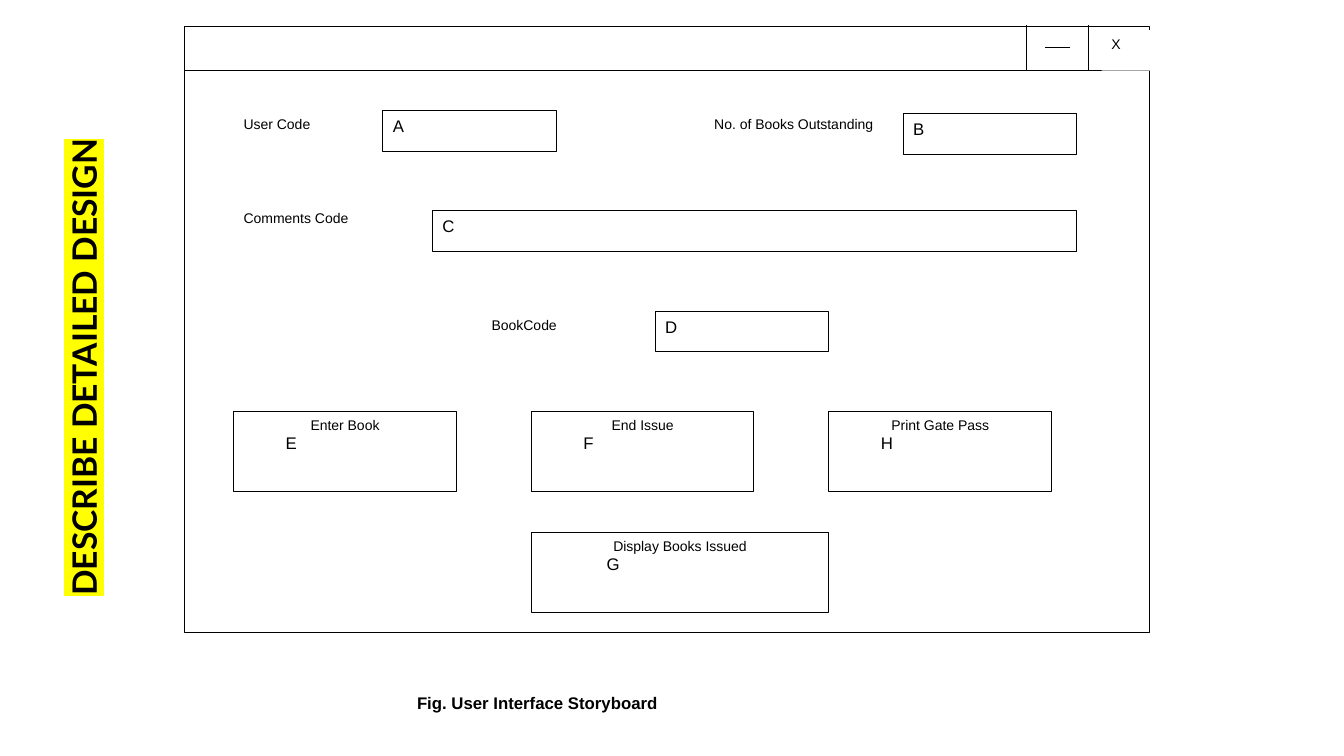
"""Build the user interface storyboard slide."""
from lxml.etree import SubElement
from pptx import Presentation
from pptx.dml.color import RGBColor
from pptx.enum.shapes import MSO_CONNECTOR, MSO_SHAPE
from pptx.enum.text import MSO_ANCHOR, PP_ALIGN
from pptx.oxml.ns import qn
from pptx.util import Cm, Pt

COLOURS = {"ink": "000000", "paper": "FFFFFF", "marker": "FFFF00"}
TITLE = "DESCRIBE DETAILED DESIGN"
CAPTION = ("Fig. User Interface Storyboard", 10.26, 17.32, 13.11, 1.52)
WINDOW = (4.65, 0.66, 24.33, 15.27)
CLOSE = ("X", 27.76, 0.76, 1.25, 1.02)
LINES = [
    (4.65, 1.78, 28.99, 1.78),
    (27.43, 0.64, 27.43, 1.78),
    (25.88, 0.64, 25.88, 1.78),
]
MINIMISE = (26.34, 1.19, 26.97, 1.19)
ROW = 1.02
LABELS = [
    ("User Code", 5.89, 2.79, 4.37, ROW),
    ("No. of Books Outstanding", 17.75, 2.79, 5.61, 2.03),
    ("Comments Code", 5.89, 5.16, 4.37, ROW),
    ("BookCode", 12.14, 7.85, 4.37, ROW),
]
FIELDS = [
    ("A", 9.65, 2.79, 4.37, ROW),
    ("B", 22.76, 2.87, 4.37, ROW),
    ("C", 10.9, 5.31, 16.23, ROW),
    ("D", 16.51, 7.85, 4.37, ROW),
]
BUTTONS = [("Enter Book", "E"), ("End Issue", "F"), ("Print Gate Pass", "H")]
BUTTON_LEFT, BUTTON_TOP, BUTTON_STEP = 5.89, 10.36, 7.5
BUTTON_WIDTH, BUTTON_HEIGHT = 5.61, 2.03
DISPLAY = (("Display Books Issued", "G"), 13.39, 13.41, 7.49, BUTTON_HEIGHT)
SMALL = {"name": "Arial", "size": Pt(10)}
LARGE = {"name": "Arial", "size": Pt(12)}
BOLD = {**LARGE, "bold": True}
HEADING = {"name": "Lato", "size": Pt(24), "bold": True}


def colour(name):
    return RGBColor.from_string(COLOURS[name])


def write(para, text, formats):
    span = para.add_run()
    span.text = text
    span.font.color.rgb = colour("ink")
    for name, value in formats.items():
        setattr(span.font, name, value)
    return span


def add_box(page, left, top, width, height, border=True):
    box = page.shapes.add_shape(MSO_SHAPE.RECTANGLE, *map(Cm, (left, top, width, height)))
    box.shadow.inherit = False
    box.fill.solid()
    box.fill.fore_color.rgb = colour("paper")
    if border:
        box.line.color.rgb = colour("ink")
        box.line.width = Pt(0.75)
    else:
        box.line.fill.background()
    box.text_frame.vertical_anchor = MSO_ANCHOR.TOP
    box.text_frame.paragraphs[0].alignment = PP_ALIGN.LEFT
    return box


def add_text_box(page, item, formats, border):
    text, *place = item
    box = add_box(page, *place, border=border)
    write(box.text_frame.paragraphs[0], text, formats)


def add_button(page, texts, left, top, width, height, indent):
    frame = add_box(page, left, top, width, height).text_frame
    name, key = texts
    frame.paragraphs[0].alignment = PP_ALIGN.CENTER
    write(frame.paragraphs[0], name, SMALL)
    para = frame.add_paragraph()
    para.alignment = PP_ALIGN.LEFT
    para._p.get_or_add_pPr().set("marL", str(Cm(indent)))
    write(para, key, LARGE)


def add_line(page, ends):
    line = page.shapes.add_connector(MSO_CONNECTOR.STRAIGHT, *map(Cm, ends))
    line.line.color.rgb = colour("ink")
    line.line.width = Pt(0.75)
    SubElement(line._element.spPr, qn("a:effectLst"))


def add_title(page):
    box = page.shapes.add_textbox(Cm(1.47), Cm(1.65), Cm(1.55), Cm(13.61))
    box.text_frame.word_wrap = True
    box.text_frame._txBody.bodyPr.set("vert", "vert270")
    span = write(box.text_frame.paragraphs[0], TITLE, HEADING)
    properties = span._r.get_or_add_rPr()
    highlight = SubElement(properties, qn("a:highlight"))
    SubElement(highlight, qn("a:srgbClr"), val=COLOURS["marker"])
    properties.find(qn("a:solidFill")).addnext(highlight)


def main():
    deck = Presentation()
    deck.slide_width, deck.slide_height = Cm(33.87), Cm(19.05)
    page = deck.slides.add_slide(deck.slide_layouts[6])
    add_box(page, *WINDOW)
    for ends in LINES:
        add_line(page, ends)
    add_text_box(page, CLOSE, SMALL, False)
    add_line(page, MINIMISE)
    for label in LABELS:
        add_text_box(page, label, SMALL, False)
    for field in FIELDS:
        add_text_box(page, field, LARGE, True)
    for index, texts in enumerate(BUTTONS):
        left = BUTTON_LEFT + index * BUTTON_STEP
        add_button(page, texts, left, BUTTON_TOP, BUTTON_WIDTH, BUTTON_HEIGHT, 1.06)
    add_button(page, *DISPLAY, 1.65)
    add_text_box(page, CAPTION, BOLD, False)
    add_title(page)
    deck.save("out.pptx")


if __name__ == "__main__":
    main()
